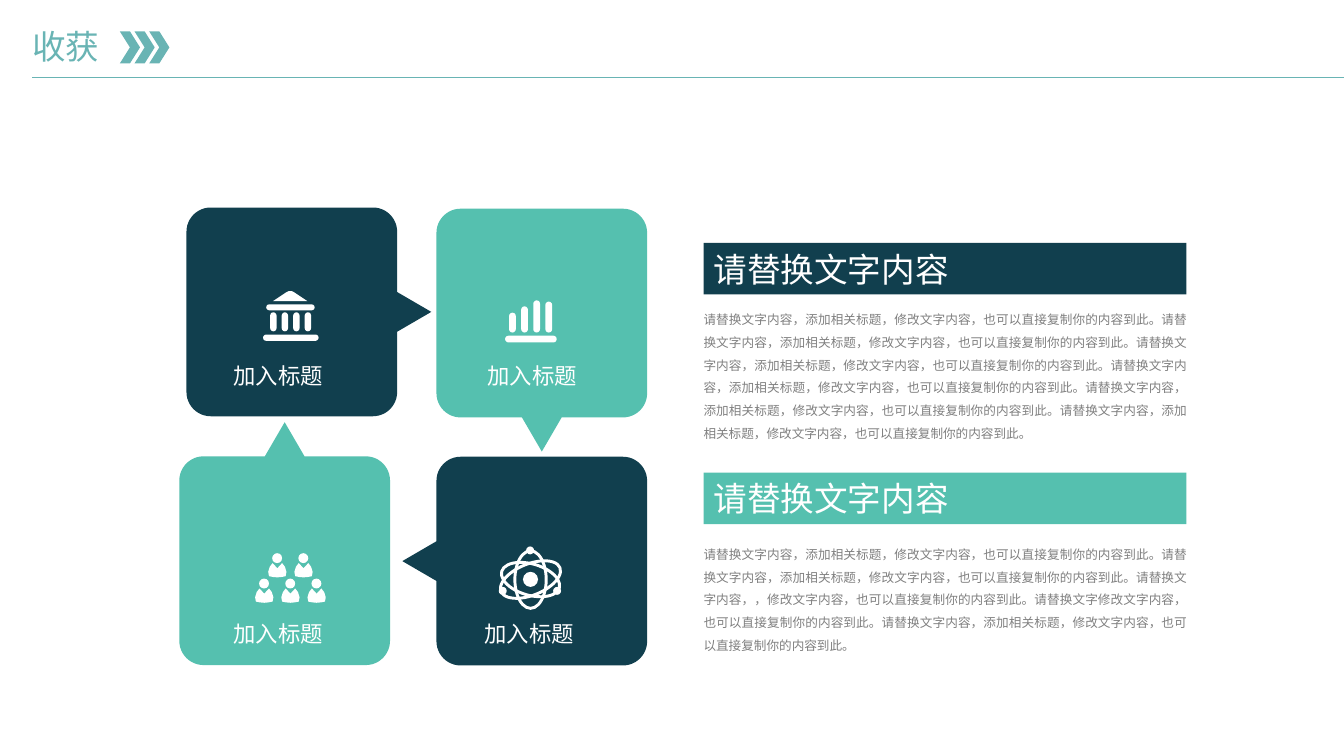
import math

import lxml.etree
import pptx
import pptx.dml.color
import pptx.enum.shapes
import pptx.enum.text
import pptx.oxml.ns
import pptx.util

Cm = pptx.util.Cm
Pt = pptx.util.Pt
RGB = pptx.dml.color.RGBColor
KIND = pptx.enum.shapes.MSO_SHAPE
ALIGN = pptx.enum.text.PP_ALIGN
ANCHOR = pptx.enum.text.MSO_ANCHOR
FIT = pptx.enum.text.MSO_AUTO_SIZE
qn = pptx.oxml.ns.qn

NAVY = RGB(0x11, 0x3F, 0x4E)
MINT = RGB(0x55, 0xC0, 0xAF)
TEAL = RGB(0x69, 0xB4, 0xB4)
GRAY = RGB(0x80, 0x80, 0x80)
WHITE = RGB(0xFF, 0xFF, 0xFF)

FACE = "Noto Sans CJK SC"
FLUSH = dict.fromkeys(
    ("margin_left", "margin_top", "margin_right", "margin_bottom"), 0)
TOP, RIGHT, BOTTOM, LEFT = range(4)

HEAD = "请替换文字内容"
LINE = "请替换文字内容，添加相关标题，修改文字内容，也可以直接复制你的内容到此。"
LONG = LINE * 6
SHORT = (LINE * 2 + "请替换文字内容，，修改文字内容，也可以直接复制你的内容到此。"
         "请替换文字修改文字内容，也可以直接复制你的内容到此。" + LINE)


# Basic parts
def paint(shape, color):
    shape.shadow.inherit = False
    shape.fill.solid()
    shape.fill.fore_color.rgb = color
    shape.line.fill.background()
    return shape


def solid(slide, kind, box, color=WHITE):
    return paint(slide.shapes.add_shape(kind, *map(Cm, box)), color)


def pill(slide, box):
    solid(slide, KIND.ROUNDED_RECTANGLE, box).adjustments[0] = 0.5


def outline(slide, x, y, points, color=WHITE):
    spots = [(Cm(x + dx), Cm(y + dy)) for dx, dy in points]
    form = slide.shapes.build_freeform(*spots[0])
    form.add_line_segments(spots[1:], close=True)
    return paint(form.convert_to_shape(), color)


def write(shape, text, size, color, frame, para):
    body = shape.text_frame
    part = body.paragraphs[0]
    run = part.add_run()
    run.text = text
    run.font.color.rgb = color
    font = {"name": FACE, "size": Pt(size)}
    for target, values in ((body, frame), (part, para), (run.font, font)):
        for key, value in values.items():
            setattr(target, key, value)
    props = run.font._element
    lxml.etree.SubElement(props, qn("a:ea")).set("typeface", FACE)


def label(slide, box, text, size, color, frame, para):
    shape = slide.shapes.add_textbox(*map(Cm, box))
    frame = {"auto_size": FIT.SHAPE_TO_FIT_TEXT, **frame}
    write(shape, text, size, color, frame, para)


# Header: title, chevrons and rule
def header(slide, x, y, wide):
    label(slide, (x, y, 7.14, 1.02), "收获", 24, TEAL,
          {"word_wrap": True, **FLUSH}, {})
    for i in range(3):
        solid(slide, KIND.CHEVRON, (x + 2.21 + 0.37 * i, y + 0.13, 0.51, 0.81),
              TEAL)
    rule = slide.shapes.add_connector(
        pptx.enum.shapes.MSO_CONNECTOR.STRAIGHT,
        Cm(x), Cm(y + 1.3), Cm(x + wide), Cm(y + 1.3))
    rule.line.color.rgb = TEAL
    rule.line.width = Pt(0.5)
    lxml.etree.SubElement(rule._element.spPr, qn("a:effectLst"))


# Icons, each drawn from its top left corner
def bank(slide, x, y):
    roof = [(0.25, 0.25), (0.58, 0.03), (0.64, 0), (0.73, 0),
            (0.79, 0.03), (1.12, 0.25)]
    outline(slide, x, y, roof)
    pill(slide, (x + 0.08, y + 0.33, 1.22, 0.15))
    for i in range(4):
        pill(slide, (x + 0.18 + 0.29 * i, y + 0.53, 0.16, 0.48))
    pill(slide, (x, y + 1.09, 1.4, 0.16))


def bars(slide, x, y):
    for i, tall in enumerate((0.5, 0.66, 0.81, 0.78)):
        pill(slide, (x + 0.1 + 0.305 * i, y + 0.81 - tall, 0.17, tall))
    pill(slide, (x, y + 0.89, 1.3, 0.17))


def team(slide, x, y):
    torso = [(0.35, 0.25), (0.23, 0.38), (0.11, 0.25), (0.04, 0.34),
             (0, 0.47), (0.02, 0.58), (0.12, 0.6), (0.23, 0.61),
             (0.34, 0.6), (0.44, 0.58), (0.46, 0.47), (0.42, 0.34)]
    for dx, dy in ((0.33, 0), (0.99, 0), (0, 0.64), (0.66, 0.64), (1.32, 0.64)):
        solid(slide, KIND.OVAL, (x + dx + 0.1, y + dy, 0.25, 0.25))
        outline(slide, x + dx, y + dy, torso)


def atom(slide, x, y):
    for wide, turn in ((1.45, 90), (1.6, -22), (1.51, 16)):
        ring = solid(slide, KIND.OVAL,
                     (x + 0.8 - wide / 2, y + 0.44, wide, 0.79))
        ring.fill.background()
        ring.line.color.rgb = WHITE
        ring.line.width = Pt(2.1)
        ring.rotation = turn
    for dx, dy, size in ((0.61, 0.64, 0.38), (1.37, 1.02, 0.2),
                         (0, 1.02, 0.2), (0.69, 0, 0.2)):
        solid(slide, KIND.OVAL, (x + dx, y + dy, size, size))


# Card: rounded box with a pointer on one side, an icon and a label
def card(slide, box, color, side, icon, spot, tag):
    x, y, wide, tall = box
    curve, reach, half = 0.61, 0.86, 0.5
    points = []
    for k in range(4):
        cx = wide - curve if k in (1, 2) else curve
        cy = tall - curve if k in (2, 3) else curve
        for step in range(13):
            angle = math.radians(180 + 90 * k + 7.5 * step)
            points.append((cx + curve * math.cos(angle),
                           cy + curve * math.sin(angle)))
        if k == side:
            ux, uy = ((1, 0), (0, 1), (-1, 0), (0, -1))[k]
            mx, my = wide / 2 * (1 + uy), tall / 2 * (1 - ux)
            points += [(mx - half * ux, my - half * uy),
                       (mx + reach * uy, my - reach * ux),
                       (mx + half * ux, my + half * uy)]
    outline(slide, x, y, points, color)
    icon(slide, x + spot[0], y + spot[1])
    label(slide, (x + tag[0], y + tag[1], 2.69, 0.89), "加入标题", 16, WHITE,
          {"word_wrap": False, "margin_left": Cm(0.2), "margin_right": Cm(0.2),
           "margin_top": Cm(0.1), "margin_bottom": Cm(0.1)}, {})


# Panel: coloured heading bar over a paragraph
def panel(slide, box, color, text, gap):
    x, y, wide, tall = box
    bar = solid(slide, KIND.RECTANGLE, (x, y, wide, 1.3), color)
    write(bar, HEAD, 24, WHITE, {"vertical_anchor": ANCHOR.MIDDLE},
          {"alignment": ALIGN.JUSTIFY})
    label(slide, (x, y + gap, wide, tall - gap), text, 9, GRAY,
          {"word_wrap": True, **FLUSH},
          {"alignment": ALIGN.JUSTIFY, "line_spacing": 1.5})


def main():
    deck = pptx.Presentation()
    deck.slide_width, deck.slide_height = Cm(33.87), Cm(19.05)
    slide = deck.slides.add_slide(deck.slide_layouts[6])
    header(slide, 0.81, 0.66, 33.06)
    wide, tall = 5.31, 5.26
    for x, y, *rest in (
            (4.7, 5.23, NAVY, RIGHT, bank, (1.93, 2.11), (0.99, 3.79)),
            (11, 5.26, MINT, BOTTOM, bars, (1.73, 2.31), (1.09, 3.76)),
            (4.52, 11.5, MINT, TOP, team, (1.91, 2.44), (1.17, 4.02)),
            (11, 11.51, NAVY, LEFT, atom, (1.57, 2.26), (1.01, 4.01))):
        card(slide, (x, y, wide, tall), *rest)
    panel(slide, (17.73, 6.12, 12.17, 5), NAVY, LONG, 1.55)
    panel(slide, (17.73, 11.91, 12.17, 4.58), MINT, SHORT, 1.68)
    deck.save("out.pptx")


if __name__ == "__main__":
    main()
